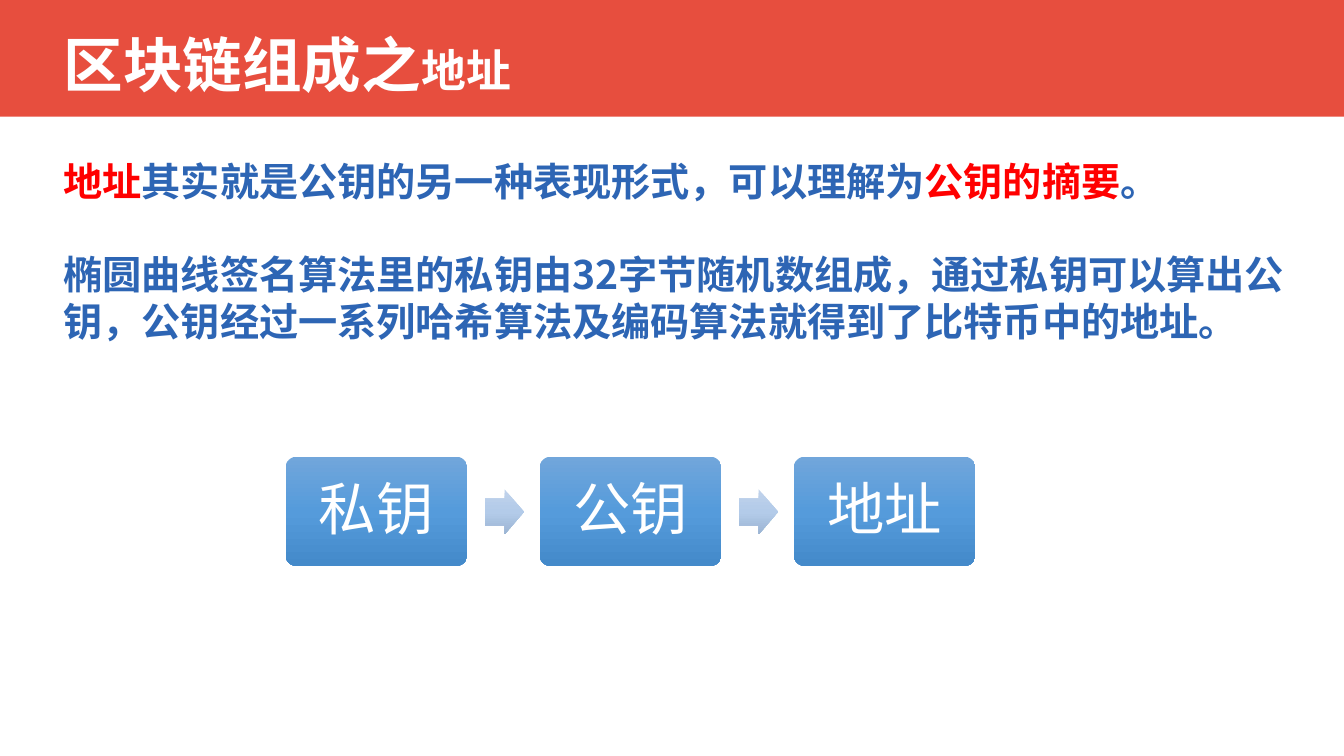
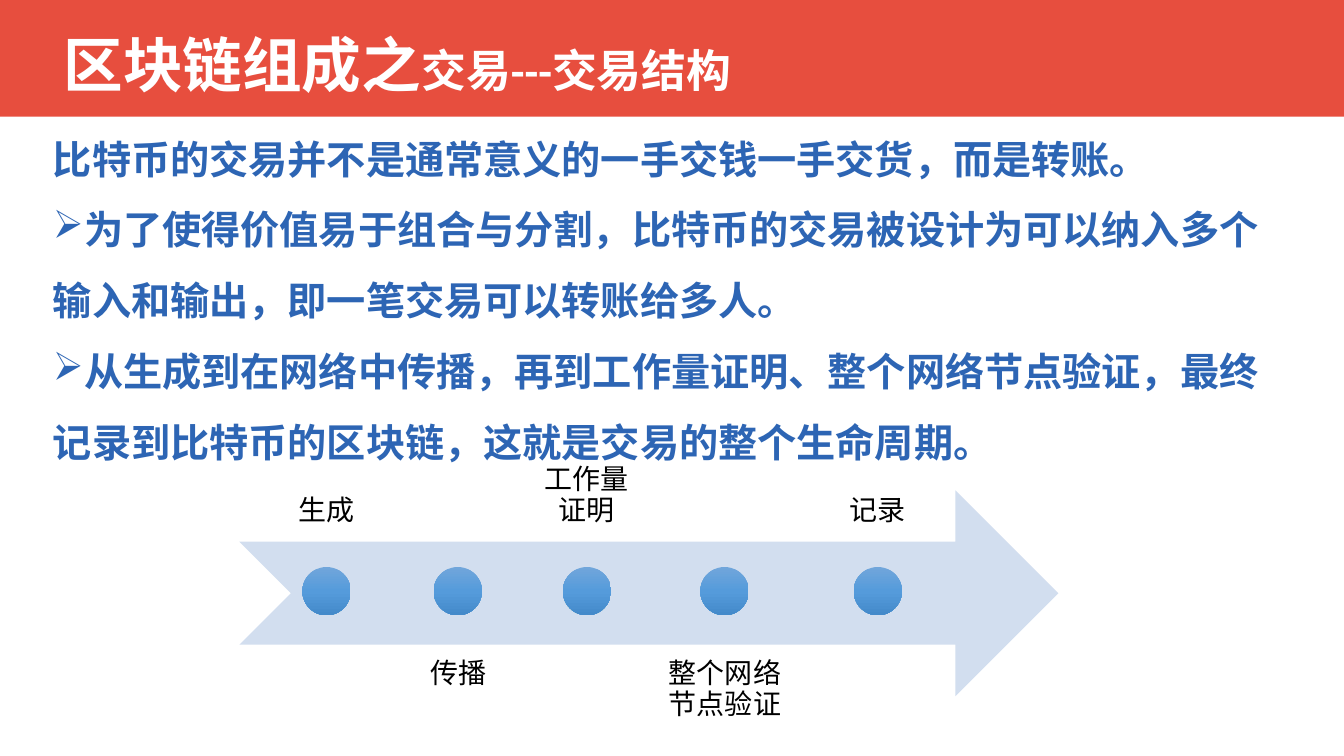
from copy import deepcopy

from pptx import Presentation
from pptx.dml.color import RGBColor
from pptx.enum.shapes import MSO_SHAPE as Preset
from pptx.enum.text import MSO_ANCHOR as Anchor, PP_ALIGN as Align
from pptx.oxml.ns import qn
from pptx.util import Emu, Pt

PX = 9525
COLORS = {
    "band": "E74E3E",
    "white": "FFFFFF",
    "black": "000000",
    "body": "2D65B4",
    "accent": "FF0000",
    "track": "D2DEEF",
}
GRADIENTS = {
    "node": ("71A6DB", "559BDB", "448ACA"),
    "arrow": ("C0D2EB", "B3CBE9", "9BB4D3"),
}
LATIN, CJK = "Calibri", "Noto Sans CJK SC"
BLANK_LAYOUT = 6


def px(*lengths):
    return [Emu(length * PX) for length in lengths]


class Deck:
    def __init__(self):
        self.prs = Presentation()
        self.prs.slide_width, self.prs.slide_height = px(1280, 720)
        self.slide = None

    def new_slide(self, topic):
        self.slide = self.prs.slides.add_slide(self.prs.slide_layouts[BLANK_LAYOUT])
        self.shape(Preset.RECTANGLE, (0, 0, 1280, 111), "band")
        frame = self.text_box((51, 4, 1052, 120), Anchor.MIDDLE)
        title = frame.paragraphs[0]
        title.line_spacing = Pt(46)
        self.add_run(title, "区块链组成之", 42.6, "white", LATIN, True)
        self.add_run(title, topic, 32, "white", LATIN, True)

    def add_run(self, paragraph, text, size, color, font, bold=False):
        run = paragraph.add_run()
        run.text = text
        run.font.size = Pt(size)
        run.font.name = font
        run.font.bold = bold
        run.font.color.rgb = RGBColor.from_string(COLORS[color])

    def text_box(self, box, anchor=Anchor.TOP, inset=None):
        frame = self.slide.shapes.add_textbox(*px(*box)).text_frame
        frame.word_wrap = True
        frame.vertical_anchor = anchor
        if inset is not None:
            self.set_margins(frame, inset)
        return frame

    def set_margins(self, frame, inset):
        margin = px(inset)[0]
        frame.margin_left = frame.margin_right = margin
        frame.margin_top = frame.margin_bottom = margin

    def body(self, box):
        return self.text_box(box)

    def body_paragraph(self, frame, parts, leading, gap=0, bullet=None):
        first = frame.paragraphs[0]
        paragraph = frame.add_paragraph() if first.runs else first
        paragraph.line_spacing = Pt(leading)
        paragraph.space_before = Pt(gap)
        for text, color in parts:
            self.add_run(paragraph, text, 28, color, CJK, True)
        if bullet:
            props = paragraph._p.get_or_add_pPr()
            props.set("marL", "0")
            props.set("indent", str(-48 * PX))
            mark = props.makeelement(qn("a:buChar"), {"char": bullet})
            props.append(mark)

    def shape(self, preset, box, fill, adjustments=()):
        shape = self.slide.shapes.add_shape(preset, *px(*box))
        shape.shadow.inherit = False
        shape.line.fill.background()
        for index, value in enumerate(adjustments):
            shape.adjustments[index] = value
        if fill in GRADIENTS:
            self.gradient(shape, GRADIENTS[fill])
        else:
            shape.fill.solid()
            shape.fill.fore_color.rgb = RGBColor.from_string(COLORS[fill])
        return shape

    def gradient(self, shape, colors):
        shape.fill.gradient()
        shape.fill.gradient_angle = 270
        stop_list = shape._element.spPr.find(".//" + qn("a:gsLst"))
        stop_list.append(deepcopy(stop_list[-1]))
        for index, (stop, color) in enumerate(zip(shape.fill.gradient_stops, colors)):
            stop.position = index / 2
            stop.color.rgb = RGBColor.from_string(color)

    def centered(self, frame, text, size, color, leading):
        paragraph = frame.paragraphs[0]
        paragraph.alignment = Align.CENTER
        paragraph.line_spacing = Pt(leading)
        self.add_run(paragraph, text, size, color, LATIN)

    def node(self, box, text):
        frame = self.shape(Preset.ROUNDED_RECTANGLE, box, "node", (0.1,)).text_frame
        frame.vertical_anchor = Anchor.MIDDLE
        self.set_margins(frame, 0)
        self.centered(frame, text, 41, "white", 44)

    def milestone(self, left, width, text, above):
        top, anchor = (416, Anchor.BOTTOM) if above else (612, Anchor.TOP)
        label = self.text_box((left, top, width, 100), anchor, 15)
        self.centered(label, text, 20, "black", 22)
        diameter = 46
        dot_left = left + (width - diameter) // 2
        self.shape(Preset.OVAL, (dot_left, 540, diameter, diameter), "node")


def address_slide(deck):
    deck.new_slide("地址")
    body = deck.body((51, 145, 1197, 220))
    deck.body_paragraph(body, [
        ("地址", "accent"),
        ("其实就是公钥的另一种表现形式，可以理解为", "body"),
        ("公钥的摘要", "accent"),
        ("。", "body"),
    ], 33.5)
    deck.body_paragraph(body, [(
        "椭圆曲线签名算法里的私钥由32字节随机数组成，通过私钥可以算出公钥，"
        "公钥经过一系列哈希算法及编码算法就得到了比特币中的地址。", "body")], 33.5, gap=33)

    steps = ("私钥", "公钥", "地址")
    for index, step in enumerate(steps):
        left = 272 + index * 242
        deck.node((left, 435, 173, 104), step)
        if index < len(steps) - 1:
            deck.shape(Preset.RIGHT_ARROW, (left + 190, 466, 37, 43), "arrow", (0.6, 0.5))


def transaction_slide(deck):
    deck.new_slide("交易---交易结构")
    body = deck.body((41, 124, 1197, 330))
    deck.body_paragraph(
        body, [("比特币的交易并不是通常意义的一手交钱一手交货，而是转账。", "body")], 33.5)
    for point in (
        "为了使得价值易于组合与分割，比特币的交易被设计为可以纳入多个输入和输出，"
        "即一笔交易可以转账给多人。",
        "从生成到在网络中传播，再到工作量证明、整个网络节点验证，"
        "最终记录到比特币的区块链，这就是交易的整个生命周期。",
    ):
        deck.body_paragraph(body, [(point, "body")], 50.5, bullet="➢")

    deck.shape(Preset.NOTCHED_RIGHT_ARROW, (228, 467, 780, 196), "track")
    stages = (("生成", 128), ("传播", 119), ("工作量证明", 122),
              ("整个网络节点验证", 137), ("记录", 150))
    left = 247
    for index, (stage, width) in enumerate(stages):
        deck.milestone(left, width, stage, above=index % 2 == 0)
        left += width + 2


def main():
    deck = Deck()
    address_slide(deck)
    transaction_slide(deck)
    deck.prs.save("out.pptx")


if __name__ == "__main__":
    main()
